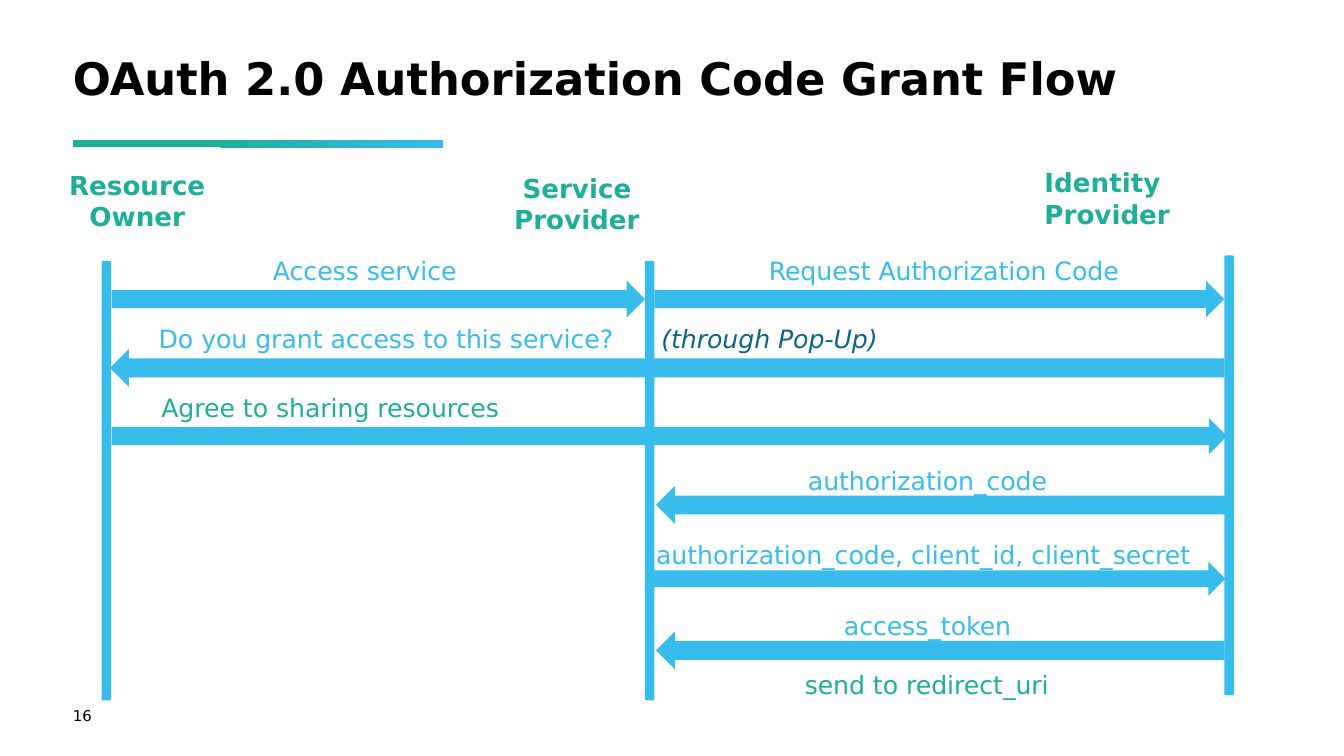
from typing import NamedTuple

from lxml import etree
from pptx import Presentation
from pptx.dml.color import RGBColor
from pptx.enum.shapes import MSO_SHAPE as Shape
from pptx.enum.text import MSO_ANCHOR as Anchor, PP_ALIGN as Align
from pptx.oxml.ns import qn
from pptx.util import Cm, Pt

FONT = "DejaVu Sans"
BLACK, TEAL, SKY, NAVY = "000000", "1FAF98", "37BCEC", "0D6585"
LINE_W, LINE_H = 0.18, 8.31


class Label(NamedTuple):
    text: str
    x: float
    y: float
    w: float
    h: float = 0.58
    color: str = SKY
    size: float = 13.5
    bold: bool = False
    align: Align = Align.LEFT
    wrap: bool = False


class Arrow(NamedTuple):
    kind: Shape
    x: float
    y: float
    w: float
    h: float


def rgb(color: str) -> RGBColor:
    return RGBColor.from_string(color)


def add_label(s, label: Label):
    box = s.shapes.add_textbox(Cm(label.x), Cm(label.y), Cm(label.w), Cm(label.h))
    tf = box.text_frame
    tf.margin_left = tf.margin_top = tf.margin_right = tf.margin_bottom = 0
    tf.word_wrap = label.wrap
    tf.text = label.text
    for p in tf.paragraphs:
        p.alignment = label.align
        for r in p.runs:
            r.font.name, r.font.size = FONT, Pt(label.size)
            r.font.bold = label.bold
            r.font.color.rgb = rgb(label.color)
    return tf


def add_block(s, kind: Shape, x: float, y: float, w: float, h: float):
    sp = s.shapes.add_shape(kind, Cm(x), Cm(y), Cm(w), Cm(h))
    sp.shadow.inherit = False
    sp.line.fill.background()
    sp.fill.solid()
    sp.fill.fore_color.rgb = rgb(SKY)
    return sp


def heading(text: str, x: float, y: float, w: float, align: Align = Align.CENTER) -> Label:
    return Label(text, x, y, w, 1.19, TEAL, 14, True, align, True)


HEADINGS = [
    heading("Service Provider", 8.81, 3.25, 4.19),
    heading("Identity\nProvider", 19.74, 3.15, 3, Align.LEFT),
    heading("Resource Owner", 0.51, 3.2, 4.17),
]
LIFELINES = [(1.92, 4.93), (12.19, 4.93), (23.14, 4.83)]
ARROWS = [
    Arrow(Shape.RIGHT_ARROW, 2.11, 5.31, 10.08, 0.69),
    Arrow(Shape.RIGHT_ARROW, 12.37, 5.31, 10.77, 0.69),
    Arrow(Shape.LEFT_ARROW, 2.08, 6.6, 21.06, 0.71),
    Arrow(Shape.RIGHT_ARROW, 2.11, 7.9, 21.08, 0.69),
    Arrow(Shape.LEFT_ARROW, 12.4, 9.19, 10.8, 0.71),
    Arrow(Shape.RIGHT_ARROW, 12.29, 10.62, 10.87, 0.64),
    Arrow(Shape.LEFT_ARROW, 12.4, 11.94, 10.74, 0.71),
]
MESSAGES = [
    Label("Access service", 5.16, 4.83, 3.48),
    Label("Request Authorization Code", 14.53, 4.83, 6.71),
    Label("Agree to sharing resources", 3.05, 7.42, 6.5, color=TEAL),
    Label("authorization_code", 15.27, 8.79, 4.65),
    Label("authorization_code, client_id, client_secret", 12.4, 10.19, 10.41),
    Label("access_token", 15.95, 11.53, 3.28),
    Label("send to redirect_uri", 15.21, 12.65, 4.75, color=TEAL),
]


def add_consent_question(s):
    """The question and, at a tab stop past the middle lifeline, its remark."""
    tf = add_label(s, Label("Do you grant access to this service?", 3, 6.12, 18.49, wrap=True))
    p = tf.paragraphs[0]
    tabs = etree.SubElement(p._p.get_or_add_pPr(), qn("a:tabLst"))
    etree.SubElement(tabs, qn("a:tab"), pos=str(Cm(9.5)), algn="l")
    r = p.add_run()
    r.text = "\t(through Pop-Up)"
    r.font.name, r.font.size, r.font.italic = FONT, Pt(13.5), True
    r.font.color.rgb = rgb(NAVY)


def main():
    prs = Presentation()
    prs.slide_width, prs.slide_height = Cm(25.4), Cm(14.29)
    s = prs.slides.add_slide(prs.slide_layouts[6])

    # Title, gradient rule and page number
    bar = add_block(s, Shape.RECTANGLE, 1.38, 2.65, 6.99, 0.14)
    bar.fill.gradient()
    bar.fill.gradient_angle = 330
    for stop, position, color in zip(bar.fill.gradient_stops, (0.39, 1), (TEAL, SKY)):
        stop.position = position
        stop.color.rgb = rgb(color)
    number = add_label(s, Label("16", 1.38, 13.36, 6.07, 0.33, BLACK, 8, wrap=True))
    number.vertical_anchor = Anchor.MIDDLE
    title = add_label(s, Label("OAuth 2.0 Authorization Code Grant Flow",
                               1.38, 1.07, 22.61, 0.91, BLACK, 24, True, wrap=True))
    title.paragraphs[0].line_spacing = 0.9

    # Participants and their lifelines
    for label in HEADINGS:
        add_label(s, label)
    for x, y in LIFELINES:
        add_block(s, Shape.ROUNDED_RECTANGLE, x, y, LINE_W, LINE_H)

    # Messages
    for arrow in ARROWS:
        add_block(s, *arrow)
    for label in MESSAGES:
        add_label(s, label)
    add_consent_question(s)

    prs.save("out.pptx")


if __name__ == "__main__":
    main()
